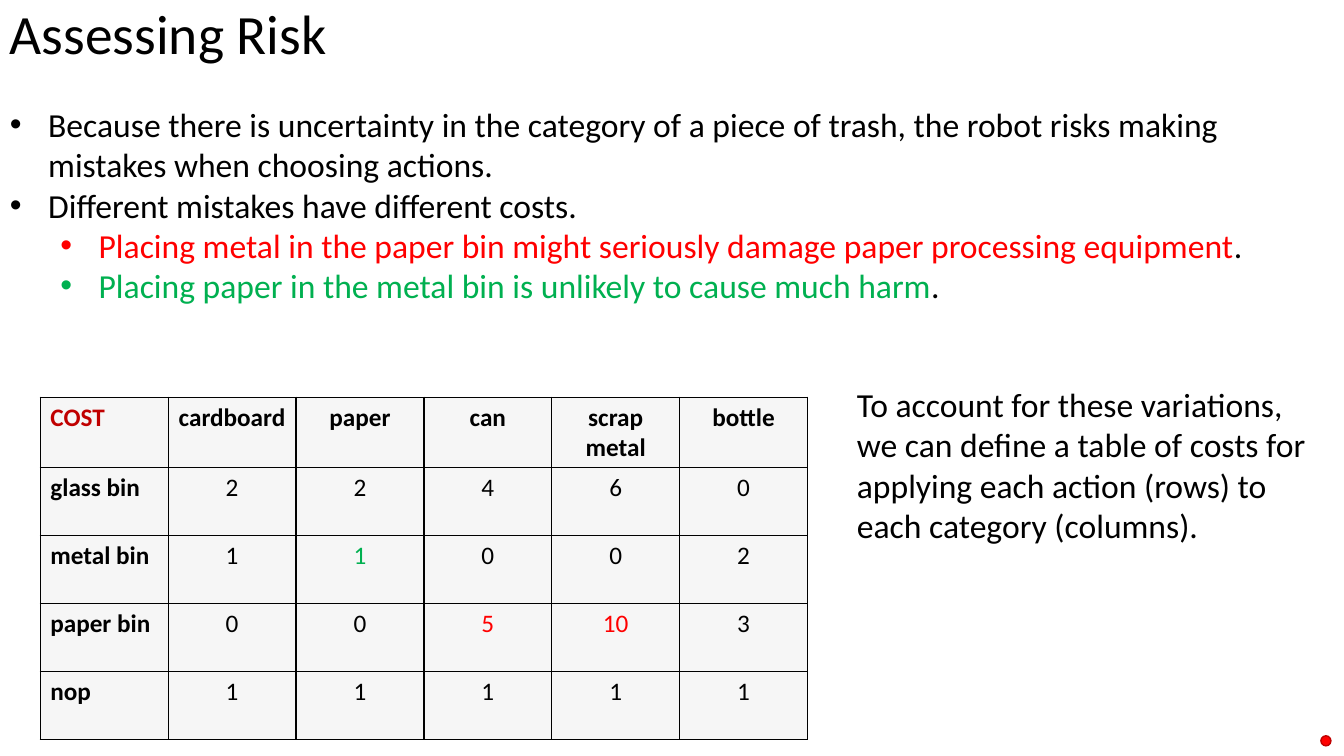
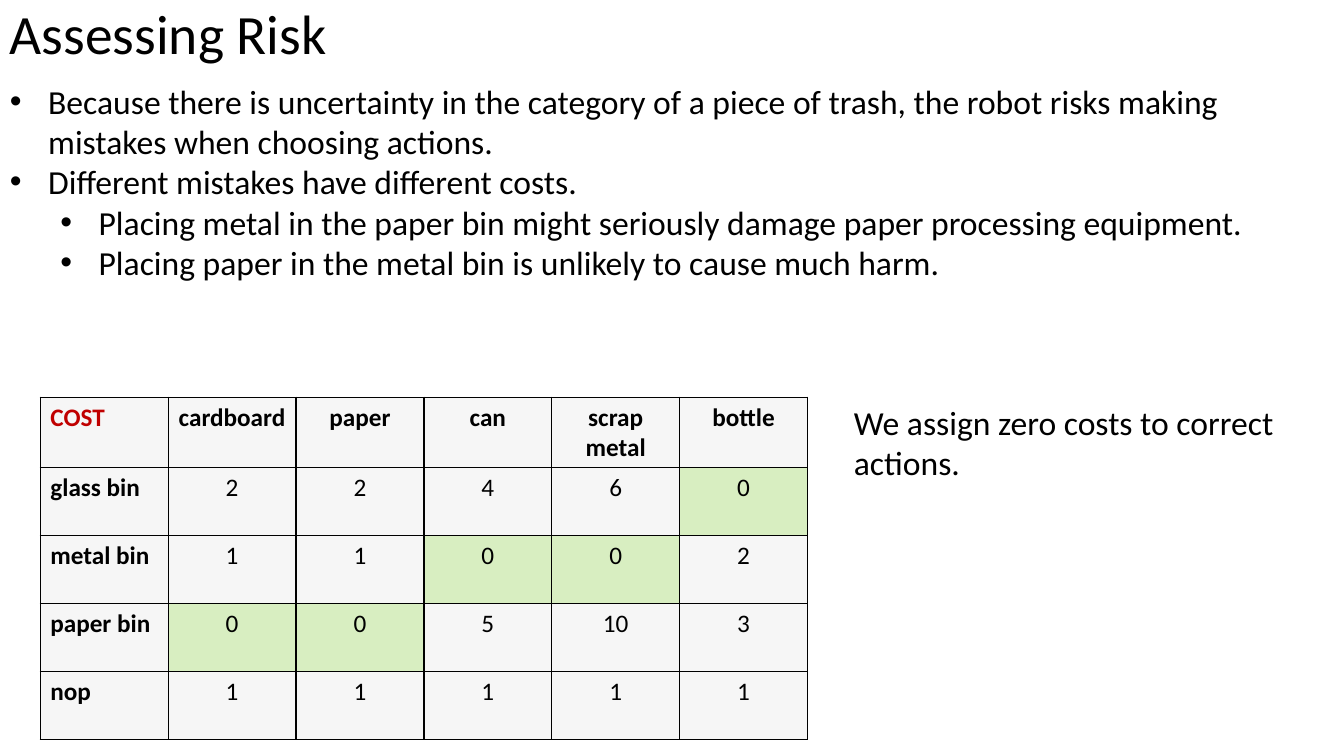
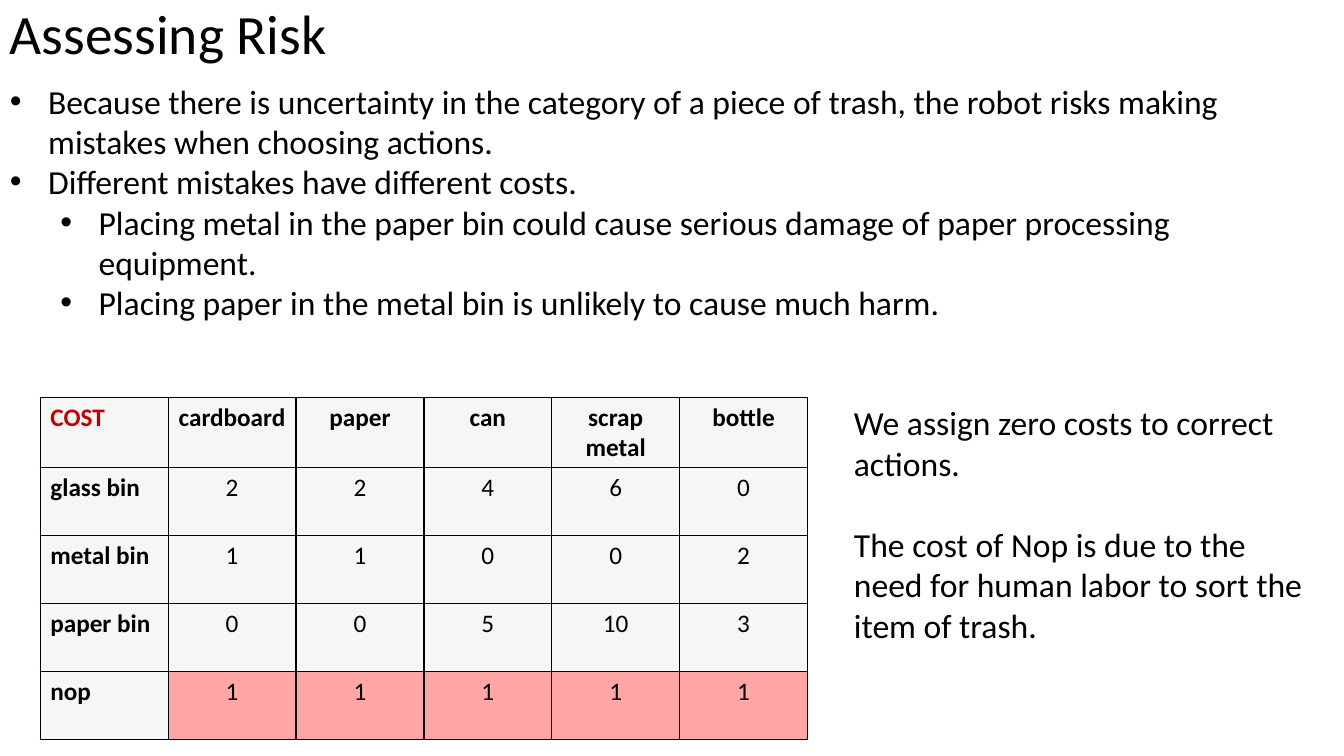
from lxml import etree
from pptx import Presentation, util as u
from pptx.dml.color import RGBColor
from pptx.enum import shapes, text
from pptx.oxml.ns import qn

# Shared style
WIDTH, HEIGHT = u.Inches(13.33), u.Inches(7.5)
FONT = "Calibri"
BLACK, RED, GREEN, DARK_RED = "000000", "FF0000", "00B050", "C00000"
GREY, LIME = "E7E6E6", "92D050"
BODY_SIZE, CELL_SIZE, TITLE_SIZE = 24, 18, 39.6
BLANK_LINE = 29.3  # points, one line of body text

# Shared content
TITLE = "Assessing Risk"
METAL_RISK = "Placing metal in the paper bin might seriously damage paper processing equipment"
PAPER_RISK = "Placing paper in the metal bin is unlikely to cause much harm"
ZERO_COST = "We assign zero costs to correct actions."
COSTS = [
    ["COST", "cardboard", "paper", "can", "scrap metal", "bottle"],
    ["glass bin", 2, 2, 4, 6, 0],
    ["metal bin", 1, 1, 0, 0, 2],
    ["paper bin", 0, 0, 5, 10, 3],
    ["nop", 1, 1, 1, 1, 1],
]


def rgb(colour):
    return RGBColor.from_string(colour)


def place(left, top, width, height):
    """Turn percentages of the slide into lengths."""
    return (int(WIDTH * left / 100), int(HEIGHT * top / 100),
            int(WIDTH * width / 100), int(HEIGHT * height / 100))


def style(font, size, colour=BLACK, bold=False):
    font.name, font.size, font.bold = FONT, u.Pt(size), bold
    font.color.rgb = rgb(colour)


def add_text_frame(slide, box):
    frame = slide.shapes.add_textbox(*place(*box)).text_frame
    frame.word_wrap = True
    return frame


def next_paragraph(frame, index):
    return frame.add_paragraph() if index else frame.paragraphs[0]


# Text
def add_title(slide):
    frame = add_text_frame(slide, (0, 0, 86.25, 9.6))
    frame.vertical_anchor = text.MSO_ANCHOR.MIDDLE
    heading = frame.paragraphs[0]
    heading.text = TITLE
    heading.line_spacing = 0.9
    style(heading.font, TITLE_SIZE)


def add_bullet(paragraph, level, colour):
    props = paragraph._p.get_or_add_pPr()
    props.set("marL", str(u.Inches(0.38 + 0.5 * level)))
    props.set("indent", str(-u.Inches(0.38)))
    bullet_colour = etree.SubElement(props, qn("a:buClr"))
    etree.SubElement(bullet_colour, qn("a:srgbClr"), val=colour)
    etree.SubElement(props, qn("a:buFont"), typeface="Arial")
    etree.SubElement(props, qn("a:buChar"), char="•")


def add_risks(slide, top, height, metal_risk=METAL_RISK,
              metal_colour=BLACK, paper_colour=BLACK):
    points = [
        (0, "Because there is uncertainty in the category of a piece of trash, "
            "the robot risks making mistakes when choosing actions", BLACK),
        (0, "Different mistakes have different costs", BLACK),
        (1, metal_risk, metal_colour),
        (1, PAPER_RISK, paper_colour),
    ]
    frame = add_text_frame(slide, (0, top, 100, height))
    for index, (level, wording, colour) in enumerate(points):
        point = next_paragraph(frame, index)
        point.level = level
        add_bullet(point, level, colour)
        style(point.font, BODY_SIZE)
        if colour == BLACK:
            point.add_run().text = wording + "."
            continue
        for part, part_colour in ((wording, colour), (".", BLACK)):
            run = point.add_run()
            run.text = part
            run.font.color.rgb = rgb(part_colour)


def add_note(slide, box, *sentences):
    frame = add_text_frame(slide, box)
    for index, sentence in enumerate(sentences):
        note = next_paragraph(frame, index)
        note.text = sentence
        if index:
            note.space_before = u.Pt(BLANK_LINE)
        style(note.font, BODY_SIZE)


# Cost table
def fill_cell(cell, colour):
    cell.fill.solid()
    cell.fill.fore_color.rgb = rgb(colour)
    props = cell._tc.get_or_add_tcPr()
    tint = props.find(qn("a:solidFill")).find(qn("a:srgbClr"))
    etree.SubElement(tint, qn("a:alpha"), val="35000")
    for position, side in enumerate(("lnL", "lnR", "lnT", "lnB")):
        border = etree.Element(qn("a:" + side), w=str(u.Pt(1)))
        solid = etree.SubElement(border, qn("a:solidFill"))
        etree.SubElement(solid, qn("a:srgbClr"), val=BLACK)
        props.insert(position, border)


def add_costs(slide, fill_rule=lambda action, cost: GREY, colours=None):
    """fill_rule picks the fill of a cost; colours maps (row, column) to a text colour."""
    colours = {(0, 0): DARK_RED, **(colours or {})}
    table = slide.shapes.add_table(len(COSTS), len(COSTS[0]),
                                   *place(3, 52.53, 57.09, 44.93)).table
    table.first_row = table.horz_banding = False
    for r, row in enumerate(COSTS):
        for c, value in enumerate(row):
            cell = table.cell(r, c)
            is_header = r == 0 or c == 0
            fill_cell(cell, GREY if is_header else fill_rule(row[0], value))
            entry = cell.text_frame.paragraphs[0]
            entry.text = str(value)
            if c:
                entry.alignment = text.PP_ALIGN.CENTER
            style(entry.font, CELL_SIZE, colours.get((r, c), BLACK), is_header)


def add_marker(slide):
    dot = slide.shapes.add_shape(shapes.MSO_SHAPE.OVAL, *place(98.28, 97.33, 0.75, 1.33))
    dot.shadow.inherit = False
    dot.fill.solid()
    dot.fill.fore_color.rgb = rgb(RED)
    dot.line.color.rgb = rgb(DARK_RED)
    dot.line.width = u.Pt(1)


def main():
    deck = Presentation()
    deck.slide_width, deck.slide_height = WIDTH, HEIGHT
    variations, correct, nop = [deck.slides.add_slide(deck.slide_layouts[6])
                                for _ in range(3)]
    for slide in (variations, correct, nop):
        add_title(slide)

    # Costs differ between mistakes
    add_costs(variations, colours={(2, 2): GREEN, (3, 3): RED, (3, 4): RED})
    add_risks(variations, 13.07, 28.27, metal_colour=RED, paper_colour=GREEN)
    add_note(variations, (63.02, 50.13, 35.18, 22.93),
             "To account for these variations, we can define a table of costs for "
             "applying each action (rows) to each category (columns).")
    add_marker(variations)

    # Correct actions cost nothing
    add_costs(correct, lambda action, cost: GREY if cost else LIME)
    add_risks(correct, 10, 28.27)
    add_note(correct, (62.8, 52.53, 35.1, 17.47), ZERO_COST)

    # Doing nothing needs human labor
    add_costs(nop, lambda action, cost: RED if action == "nop" else GREY)
    add_risks(nop, 10, 33.6, "Placing metal in the paper bin could cause serious "
                             "damage of paper processing equipment")
    add_note(nop, (62.8, 52.53, 35.1, 33.6), ZERO_COST,
             "The cost of Nop is due to the need for human labor to sort the item of trash.")

    deck.save("out.pptx")


if __name__ == "__main__":
    main()
